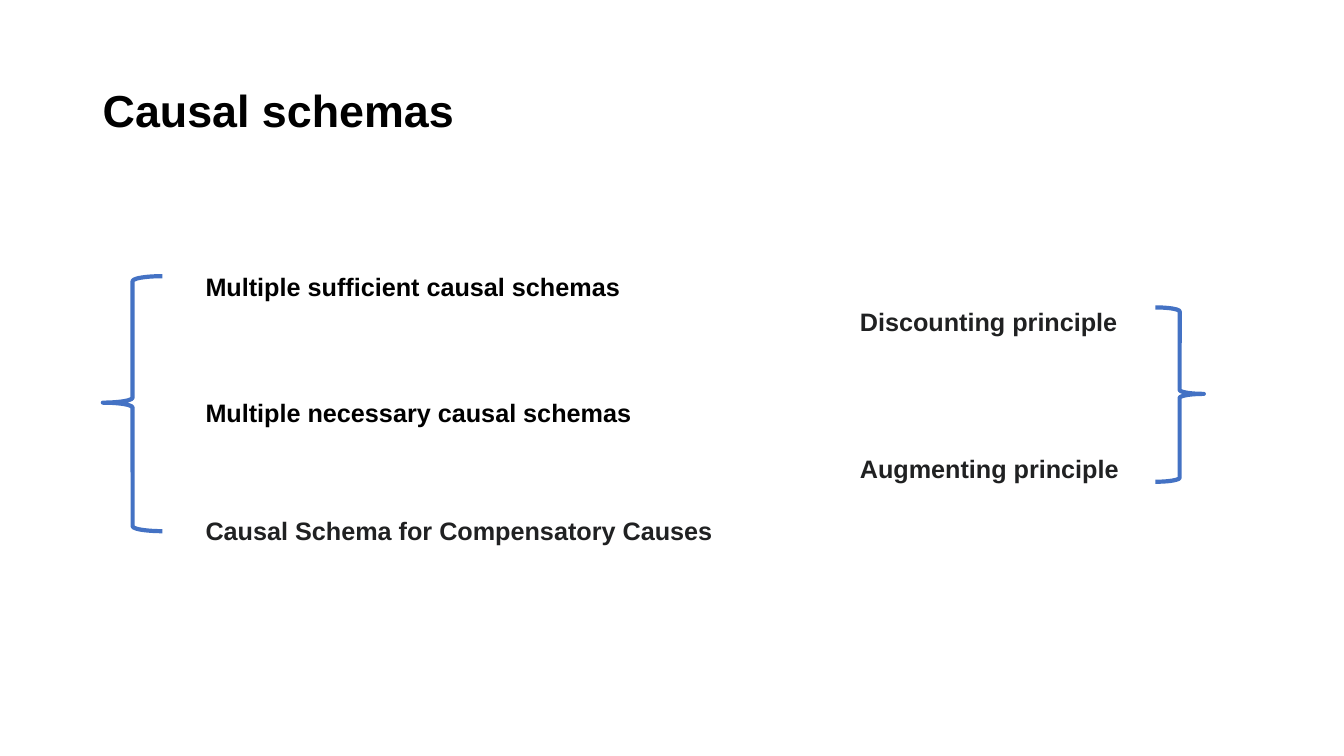
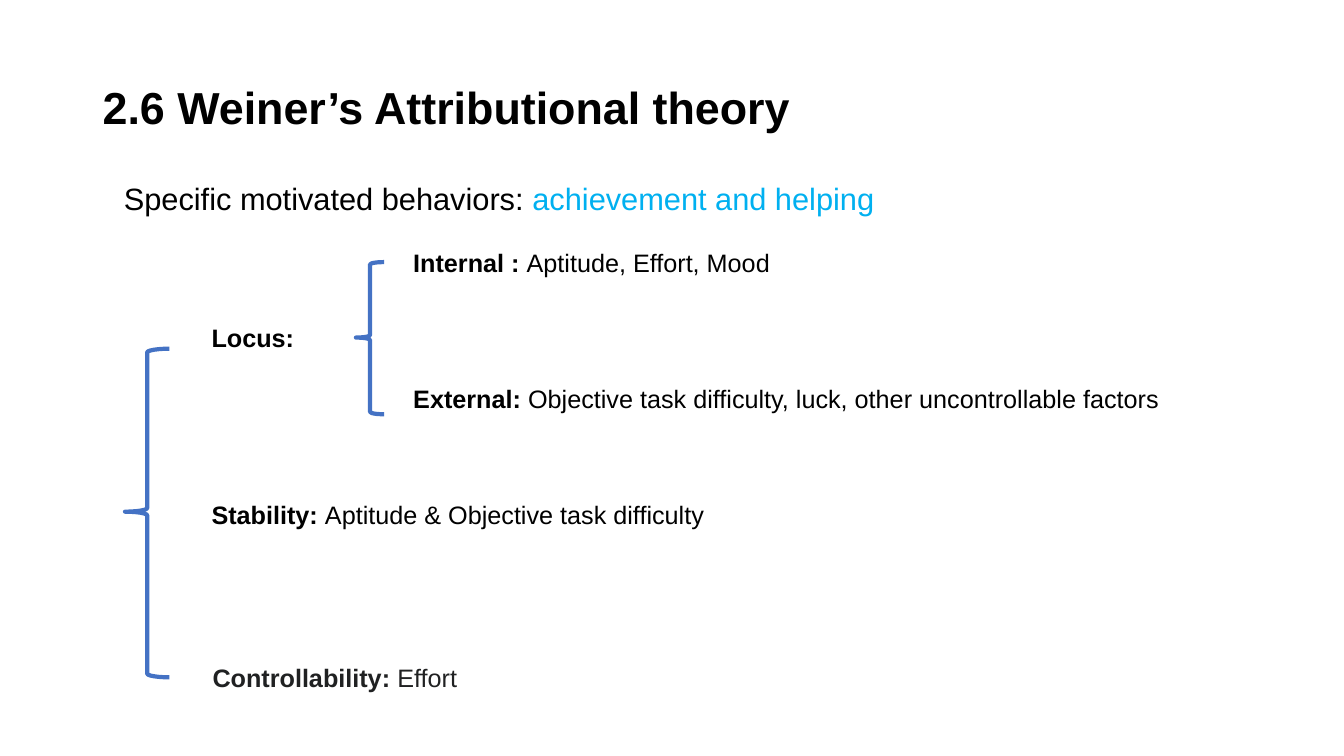
import pptx
import pptx.util
import pptx.dml.color
import pptx.enum.shapes
import pptx.enum.text

Inches = pptx.util.Inches
RGBColor = pptx.dml.color.RGBColor
Shape = pptx.enum.shapes.MSO_SHAPE
Anchor = pptx.enum.text.MSO_ANCHOR

BLACK = RGBColor(0x00, 0x00, 0x00)
CHARCOAL = RGBColor(0x20, 0x21, 0x22)
BLUE = RGBColor(0x44, 0x72, 0xC4)
CYAN = RGBColor(0x00, 0xB0, 0xF0)


class Outline:
    font = "Arial"
    title_size = 32
    lead_size = 22
    label_size = 18

    def __init__(self):
        self.deck = pptx.Presentation()
        self.deck.slide_width = Inches(13.33)
        self.deck.slide_height = Inches(7.5)
        self.page = None

    def add_page(self, title, title_top):
        self.page = self.deck.slides.add_slide(self.deck.slide_layouts[6])
        box = self.text(0.92, title_top, 11.5, 1.45, [(title, True, BLACK)],
                        self.title_size, 0.9)
        box.text_frame.vertical_anchor = Anchor.MIDDLE

    def text(self, left, top, width, height, pieces, size, spacing):
        box = self.page.shapes.add_textbox(
            Inches(left), Inches(top), Inches(width), Inches(height))
        box.text_frame.word_wrap = True
        para = box.text_frame.paragraphs[0]
        para.line_spacing = spacing
        for words, bold, color in pieces:
            span = para.add_run()
            span.text = words
            span.font.name = self.font
            span.font.size = pptx.util.Pt(size)
            span.font.bold = bold
            span.font.color.rgb = color
        return box

    def lead(self, left, top, width, words, highlight):
        self.text(left, top, width, 0.59,
                  [(words, False, BLACK), (highlight, False, CYAN)],
                  self.lead_size, 1.5)

    def label(self, left, top, width, term, detail="", color=BLACK, spacing=1.0):
        pieces = [(term, True, color)]
        if detail:
            pieces.append((detail, False, color))
        height = 0.5 if spacing > 1 else 0.4
        self.text(left, top, width, height, pieces, self.label_size, spacing)

    def brace(self, left, top, width, height, kind=Shape.LEFT_BRACE):
        brace = self.page.shapes.add_shape(
            kind, Inches(left), Inches(top), Inches(width), Inches(height))
        brace.shadow.inherit = False
        brace.fill.background()
        brace.line.color.rgb = BLUE
        brace.line.width = pptx.util.Pt(3)
        brace.adjustments[0] = 0.083
        brace.adjustments[1] = 0.496

    def save(self):
        self.deck.save("out.pptx")


outline = Outline()

outline.add_page("Causal schemas", 0.4)
outline.brace(1.02, 2.74, 0.59, 2.53)
outline.label(1.94, 2.49, 7.75, "Multiple sufficient causal schemas", spacing=1.5)
outline.label(1.94, 3.74, 7.9, "Multiple necessary causal schemas", spacing=1.5)
outline.label(1.94, 5.06, 6.67, "Causal Schema for Compensatory Causes", color=CHARCOAL)
outline.brace(11.46, 3.05, 0.48, 1.73, Shape.RIGHT_BRACE)
outline.label(8.43, 2.99, 3.21, "Discounting principle", color=CHARCOAL)
outline.label(8.43, 4.45, 3.21, "Augmenting principle", color=CHARCOAL)

outline.add_page("2.6 Weiner’s Attributional theory", 0.37)
outline.lead(1.13, 1.55, 9.52, "Specific motivated behaviors: ", "achievement and helping")
outline.brace(1.24, 3.46, 0.44, 3.26)
outline.label(2, 3, 1.49, "Locus:", spacing=1.5)
outline.label(2, 4.75, 7.9, "Stability: ", "Aptitude & Objective task difficulty", spacing=1.5)
outline.label(2.01, 6.52, 6.67, "Controllability: ", "Effort", CHARCOAL)
outline.brace(3.53, 2.6, 0.28, 1.51)
outline.label(4, 2.4, 6.67, "Internal : ", "Aptitude, Effort, Mood")
outline.label(4, 3.75, 8.22, "External: ",
              "Objective task difficulty, luck, other uncontrollable factors ")

outline.save()
